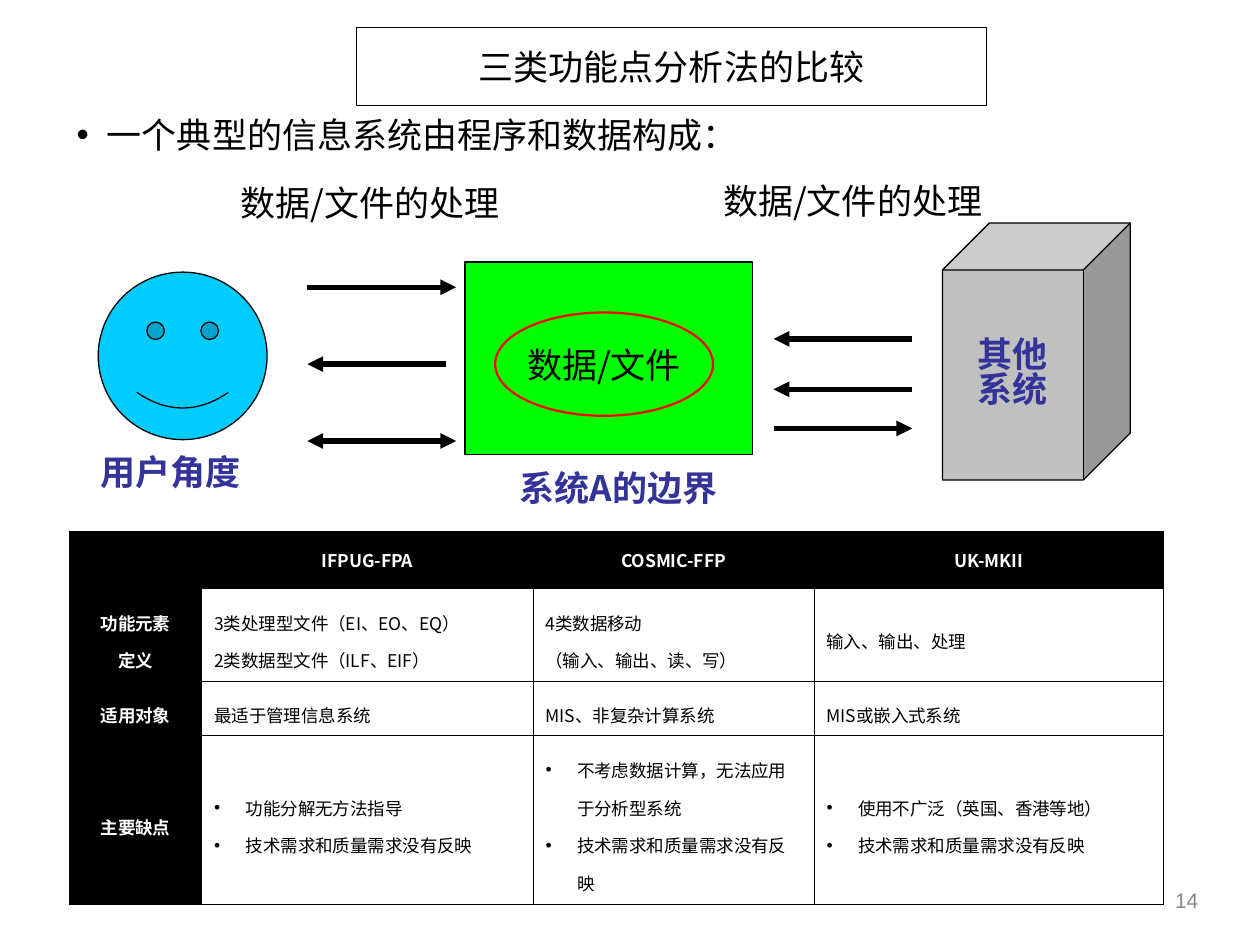
from pptx import Presentation
from pptx.dml.color import RGBColor
from pptx.enum.shapes import MSO_CONNECTOR, MSO_SHAPE
from pptx.enum.text import MSO_ANCHOR, PP_ALIGN
from pptx.oxml.ns import qn
from pptx.util import Inches, Pt
from lxml import etree

LEFT, CENTER, RIGHT = PP_ALIGN.LEFT, PP_ALIGN.CENTER, PP_ALIGN.RIGHT
TOP, MIDDLE = MSO_ANCHOR.TOP, MSO_ANCHOR.MIDDLE
FONT = "Noto Sans CJK SC"
BLACK, WHITE, BLUE, GREY = "000000", "FFFFFF", "333399", "898989"
TIGHT = 0.83
TITLE_ONLY = 5

TITLE = "三类功能点分析法的比较"
TITLE_BOX = (2.83, 0.22, 5, 0.62)

# preset, box, fill, line colour, line width, text, text format
SHAPES = [
    (MSO_SHAPE.SMILEY_FACE, (0.78, 2.16, 1.34, 1.33), "00CCFF", BLACK, 0.75, None, {}),
    (MSO_SHAPE.RECTANGLE, (3.69, 2.08, 2.28, 1.53), "00FF00", BLACK, 0.75, None, {}),
    (MSO_SHAPE.OVAL, (3.93, 2.48, 1.73, 0.82), None, "FF0000", 1.25, "数据/文件", {}),
    (MSO_SHAPE.CUBE, (7.48, 1.77, 1.49, 2.04), "C0C0C0", BLACK, 0.75, "其他\n系统",
     {"color": BLUE, "bold": True, "spacing": TIGHT}),
]

# start x, end x, y, ends that carry an arrowhead
ARROWS = [
    (2.44, 3.62, 2.28, ["tailEnd"]),
    (3.54, 2.44, 2.89, ["tailEnd"]),
    (2.44, 3.62, 3.5, ["headEnd", "tailEnd"]),
    (7.24, 6.14, 2.69, ["tailEnd"]),
    (7.24, 6.14, 3.09, ["tailEnd"]),
    (6.14, 7.24, 3.4, ["tailEnd"]),
]

CAPTION = {"color": BLUE, "bold": True, "spacing": TIGHT}
LABELS = [
    ("系统A的边界", (3.93, 3.71, 1.96, 0.44), {**CAPTION, "align": CENTER}),
    ("用户角度", (0.7, 3.58, 1.49, 0.44), CAPTION),
    ("数据/文件的处理", (1.81, 1.45, 2.38, 0.44), {"spacing": TIGHT}),
    ("数据/文件的处理", (5.64, 1.43, 2.38, 0.44), {"spacing": TIGHT}),
    ("一个典型的信息系统由程序和数据构成：", (0.51, 0.91, 5.35, 0.44),
     {"spacing": TIGHT, "bullet_indent": 0.24}),
    ("14", (7.28, 6.88, 2.33, 0.52),
     {"size": 12, "font": "Arial", "color": GREY, "align": RIGHT, "anchor": MIDDLE}),
]

TABLE_BOX = (0.55, 4.22, 8.67, 2.96)
COLUMN_WIDTHS = [1.05, 2.63, 2.23, 2.77]
ROW_HEIGHTS = [0.45, 0.74, 0.43, 1.34]
ROWS = [
    ["", "IFPUG-FPA", "COSMIC-FFP", "UK-MKII"],
    ["功能元素\n定义", "3类处理型文件（EI、EO、EQ）\n2类数据型文件（ILF、EIF）",
     "4类数据移动\n（输入、输出、读、写）", "输入、输出、处理"],
    ["适用对象", "最适于管理信息系统", "MIS、非复杂计算系统", "MIS或嵌入式系统"],
    ["主要缺点", "功能分解无方法指导\n技术需求和质量需求没有反映",
     "不考虑数据计算，无法应用于分析型系统\n技术需求和质量需求没有反映",
     "使用不广泛（英国、香港等地）\n技术需求和质量需求没有反映"],
]
BULLET_ROW = len(ROWS) - 1


def rgb(value):
    return RGBColor.from_string(value)


def inches(box):
    return [Inches(length) for length in box]


def add_bullet(paragraph, indent):
    """Give the paragraph a round bullet with a hanging indent."""
    properties = paragraph._p.get_or_add_pPr()
    properties.set("marL", str(Inches(indent)))
    properties.set("indent", str(-Inches(indent)))
    font = etree.SubElement(properties, qn("a:buFont"))
    font.set("typeface", "Arial")
    etree.SubElement(properties, qn("a:buChar")).set("char", "•")


def write_text(frame, text, size=20, font=FONT, color=BLACK, bold=False, align=LEFT,
               anchor=TOP, spacing=None, bullet_indent=None, wrap=True):
    """Fill a text frame, one paragraph for each line of text."""
    frame.word_wrap = wrap
    frame.vertical_anchor = anchor
    for index, line in enumerate(text.split("\n")):
        paragraph = frame.add_paragraph() if index else frame.paragraphs[0]
        if bullet_indent:
            add_bullet(paragraph, bullet_indent)
        paragraph.alignment = align
        if spacing:
            paragraph.line_spacing = spacing
        run = paragraph.add_run()
        run.text = line
        run.font.size = Pt(size)
        run.font.name = font
        run.font.bold = bold
        run.font.color.rgb = rgb(color)
        east_asian = etree.SubElement(run._r.get_or_add_rPr(), qn("a:ea"))
        east_asian.set("typeface", font)


def paint(shape, fill, line, width):
    if fill:
        shape.fill.solid()
        shape.fill.fore_color.rgb = rgb(fill)
    else:
        shape.fill.background()
    shape.line.color.rgb = rgb(line)
    shape.line.width = Pt(width)


def add_title(slide):
    title = slide.shapes.title
    title.left, title.top, title.width, title.height = inches(TITLE_BOX)
    paint(title, WHITE, BLACK, 0.75)
    write_text(title.text_frame, TITLE, align=CENTER, anchor=MIDDLE)


def add_diagram(slide):
    for preset, box, fill, line, width, text, style in SHAPES:
        shape = slide.shapes.add_shape(preset, *inches(box))
        shape.shadow.inherit = False
        paint(shape, fill, line, width)
        if text:
            write_text(shape.text_frame, text, align=CENTER, anchor=MIDDLE,
                       wrap=False, **style)
    for start, end, y, heads in ARROWS:
        arrow = slide.shapes.add_connector(
            MSO_CONNECTOR.STRAIGHT, *inches((start, y, end, y)))
        arrow.line.color.rgb = rgb(BLACK)
        arrow.line.width = Pt(3)
        line = arrow.line._get_or_add_ln()
        for head in heads:
            etree.SubElement(line, qn(f"a:{head}")).set("type", "triangle")
        etree.SubElement(arrow._element.spPr, qn("a:effectLst"))
    for text, box, style in LABELS:
        label = slide.shapes.add_textbox(*inches(box))
        write_text(label.text_frame, text, **style)


def add_borders(cell):
    properties = cell._tc.get_or_add_tcPr()
    for position, side in enumerate(("lnL", "lnR", "lnT", "lnB")):
        border = etree.Element(qn(f"a:{side}"), w=str(Pt(0.45)))
        fill = etree.SubElement(border, qn("a:solidFill"))
        etree.SubElement(fill, qn("a:srgbClr")).set("val", BLACK)
        properties.insert(position, border)


def add_comparison(slide):
    table = slide.shapes.add_table(
        len(ROWS), len(COLUMN_WIDTHS), *inches(TABLE_BOX)).table
    table.first_row = table.horz_banding = False
    for column, width in zip(table.columns, COLUMN_WIDTHS):
        column.width = Inches(width)
    for row, height in zip(table.rows, ROW_HEIGHTS):
        row.height = Inches(height)
    for r, texts in enumerate(ROWS):
        for c, text in enumerate(texts):
            cell = table.cell(r, c)
            heading = r == 0 or c == 0
            cell.fill.solid()
            cell.fill.fore_color.rgb = rgb(BLACK if heading else WHITE)
            cell.margin_left = cell.margin_right = Inches(0.1)
            cell.vertical_anchor = MIDDLE
            add_borders(cell)
            write_text(cell.text_frame, text, size=10, bold=heading,
                       color=WHITE if heading else BLACK,
                       align=CENTER if heading else LEFT,
                       spacing=1.5 if r else None,
                       bullet_indent=0.25 if r == BULLET_ROW and c else None)


def main():
    presentation = Presentation()
    presentation.slide_width, presentation.slide_height = Inches(10), Inches(7.5)
    slide = presentation.slides.add_slide(presentation.slide_layouts[TITLE_ONLY])
    add_title(slide)
    add_diagram(slide)
    add_comparison(slide)
    presentation.save("out.pptx")


if __name__ == "__main__":
    main()
